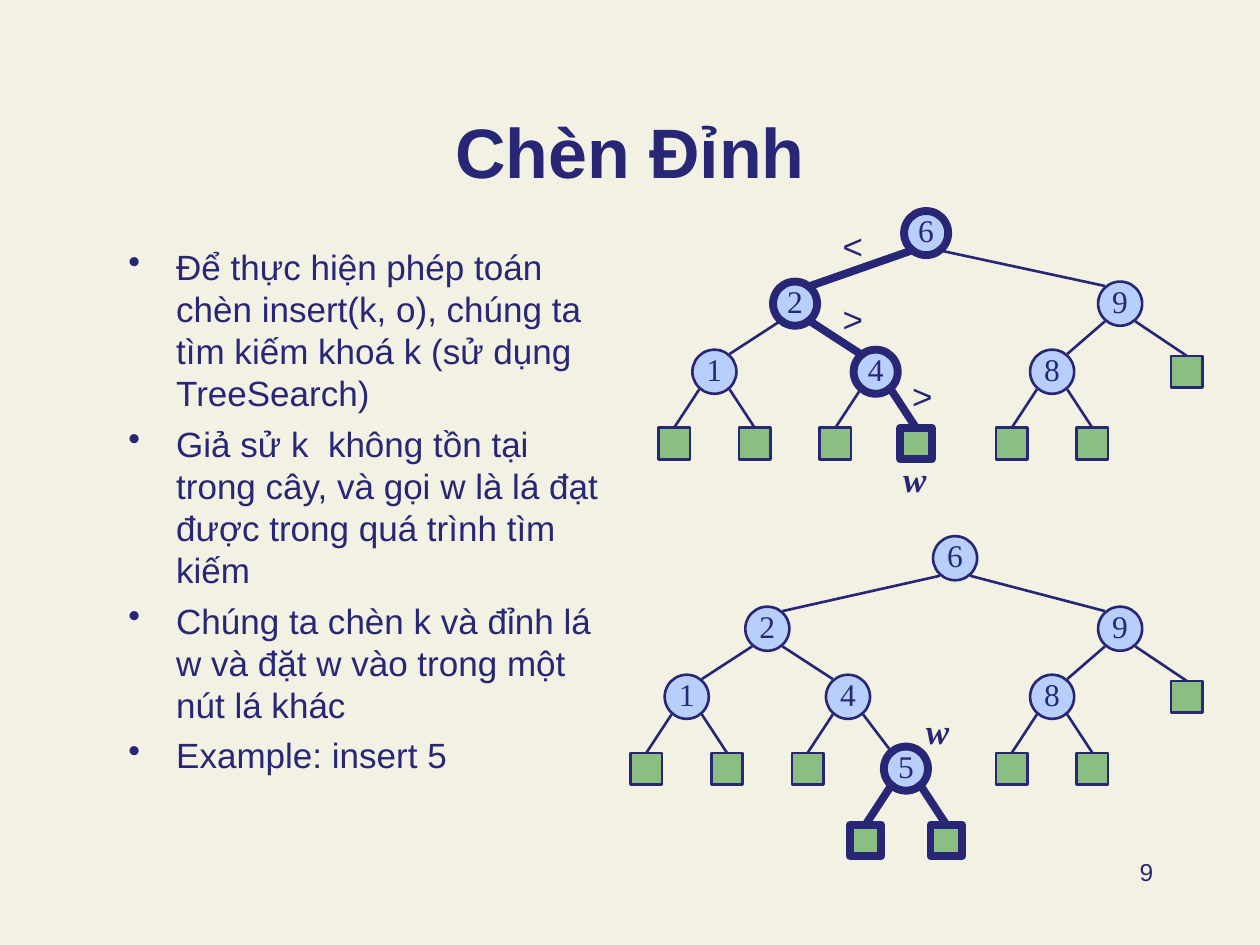
import pptx
import pptx.util
import pptx.dml.color
import pptx.enum.shapes
import pptx.enum.text
import pptx.oxml.ns
from lxml import etree

Inches = pptx.util.Inches
Pt = pptx.util.Pt
Kind = pptx.enum.shapes.MSO_SHAPE
Align = pptx.enum.text.PP_ALIGN
Anchor = pptx.enum.text.MSO_ANCHOR

COLORS = {"paper": "F3F1E4", "ink": "272776", "node": "B8CFFB", "leaf": "8BBE82"}
SANS, SERIF = "Arial", "Times New Roman"

ROWS = [0.18, 0.74, 1.28, 1.85, 2.42]  # centres of the tree levels
NODE, LEAF = 0.35, 0.25                # sizes of circles and squares
EDGE_X, EDGE_Y = 0.12, 0.14            # where an edge meets a circle
THIN, THICK = 1.5, 4.5

POINTS = [
    "Để thực hiện phép toán chèn insert(k, o), chúng ta tìm kiếm khoá k (sử dụng TreeSearch)",
    "Giả sử k  không tồn tại trong cây, và gọi w là lá đạt được trong quá trình tìm kiếm",
    "Chúng ta chèn k và đỉnh lá w và đặt w vào trong một nút lá khác",
    "Example: insert 5",
]


def color(name):
    return pptx.dml.color.RGBColor.from_string(COLORS[name])


def style(para, size, face=SANS, bold=False, slant=False):
    for run in para.runs:
        font = run.font
        font.size, font.name = Pt(size), face
        font.bold, font.italic = bold, slant
        font.color.rgb = color("ink")


def add_title(slide, box, text):
    title = slide.shapes.title
    title.left, title.top, title.width, title.height = map(Inches, box)
    frame = title.text_frame
    frame.text = text
    frame.vertical_anchor = Anchor.BOTTOM
    frame.paragraphs[0].alignment = Align.CENTER
    style(frame.paragraphs[0], 40, bold=True)


def add_text(slide, box, text, size, align=Align.LEFT, wrap=True, **look):
    frame = slide.shapes.add_textbox(*map(Inches, box)).text_frame
    frame.word_wrap = wrap
    frame.text = text
    for para in frame.paragraphs:
        para.alignment = align
        style(para, size, **look)
    return frame


def add_points(slide, box, points):
    frame = add_text(slide, box, "\n".join(points), 20)
    for i, para in enumerate(frame.paragraphs):
        props = para._p.get_or_add_pPr()
        props.set("marL", str(Inches(0.38)))
        props.set("indent", str(-Inches(0.38)))
        mark = etree.SubElement(props, pptx.oxml.ns.qn("a:buChar"))
        mark.set("char", "•")
        para.line_spacing = 1.0
        if i:
            para.space_before = Pt(5)


# A tree is nested: (label, offset from parent, marked, children)
def leaf(shift, mark=False):
    return (None, shift, mark, [])


def twins(mark=False):
    return [leaf(-0.32, mark), leaf(0.32, mark)]


def right(shift):
    return ("9", shift, False, [("8", -0.54, False, twins()), leaf(0.53)])


def left(shift, mark, last):
    four = ("4", 0.64, mark, [leaf(-0.32), last])
    return ("2", shift, mark, [("1", -0.64, False, twins()), four])


SEARCH = ("6", 2.14, True, [left(-1.04, True, leaf(0.32, True)), right(1.54)])
INSERT = ("6", 2.58, False,
          [left(-1.49, False, ("5", 0.46, True, twins(True))), right(1.31)])


def add_node(slide, x, y, label, mark):
    size = NODE if label else LEAF
    kind = Kind.OVAL if label else Kind.RECTANGLE
    shape = slide.shapes.add_shape(kind, Inches(x - size / 2), Inches(y - size / 2),
                                   Inches(size), Inches(size))
    shape.shadow.inherit = False
    shape.fill.solid()
    shape.fill.fore_color.rgb = color("node" if label else "leaf")
    shape.line.color.rgb = color("ink")
    shape.line.width = Pt(THICK if mark else THIN)
    if label:
        frame = shape.text_frame
        frame.margin_left = frame.margin_right = frame.margin_top = 0
        frame.margin_bottom = Inches(0.05)
        frame.word_wrap = False
        frame.vertical_anchor = Anchor.MIDDLE
        frame.text = label
        frame.paragraphs[0].alignment = Align.CENTER
        style(frame.paragraphs[0], 18, SERIF)
    return shape


def add_edge(slide, start, end, mark):
    line = slide.shapes.add_connector(pptx.enum.shapes.MSO_CONNECTOR.STRAIGHT,
                                      *map(Inches, start + end))
    line.line.color.rgb = color("ink")
    line.line.width = Pt(THICK if mark else THIN)
    etree.SubElement(line._element.spPr, pptx.oxml.ns.qn("a:effectLst"))
    return line


def add_tree(slide, x, top, tree, level=0):
    """Draw a tree below top, offset from x, and return its root shape."""
    label, shift, mark, kids = tree
    x, y = x + shift, top + ROWS[level]
    root = add_node(slide, x, y, label, mark)
    for kid in kids:
        name, step, bold, _ = kid
        child = add_tree(slide, x, top, kid, level + 1)
        side = EDGE_X if step > 0 else -EDGE_X
        below = top + ROWS[level + 1]
        end = (x + step - side, below - EDGE_Y) if name else (x + step, below - LEAF / 2)
        edge = add_edge(slide, (x + side, y + EDGE_Y), end, mark and bold)
        if not name:
            edge.end_connect(child, 0)
    return root


def add_figure(slide, x, y, tree, signs, leaf_at):
    add_tree(slide, x, y, tree)
    for text, dx, dy in signs:
        add_text(slide, (x + dx, y + dy, 0.36, 0.44), text, 20, wrap=False)
    dx, dy = leaf_at
    add_text(slide, (x + dx, y + dy, 0.38, 0.44), "w", 20, wrap=False,
             face=SERIF, bold=True, slant=True)


def main():
    deck = pptx.Presentation()
    deck.slide_width, deck.slide_height = Inches(10), Inches(7.5)
    slide = deck.slides.add_slide(deck.slide_layouts[5])
    slide.background.fill.solid()
    slide.background.fill.fore_color.rgb = color("paper")

    # Title, points and page number
    add_title(slide, (0.75, 0.5, 8.5, 1.08), "Chèn Đỉnh")
    add_points(slide, (0.92, 1.9, 4, 4.68), POINTS)
    add_text(slide, (7.17, 6.75, 2.08, 0.5), "9", 14, Align.RIGHT)

    # Search path above, tree after the insertion below
    signs = [("<", 1.38, 0.06), (">", 1.38, 0.64), (">", 1.93, 1.25)]
    add_figure(slide, 5.21, 1.67, SEARCH, signs, (1.86, 1.91))
    add_figure(slide, 5, 4.25, INSERT, [], (2.25, 1.33))

    deck.save("out.pptx")


if __name__ == "__main__":
    main()
